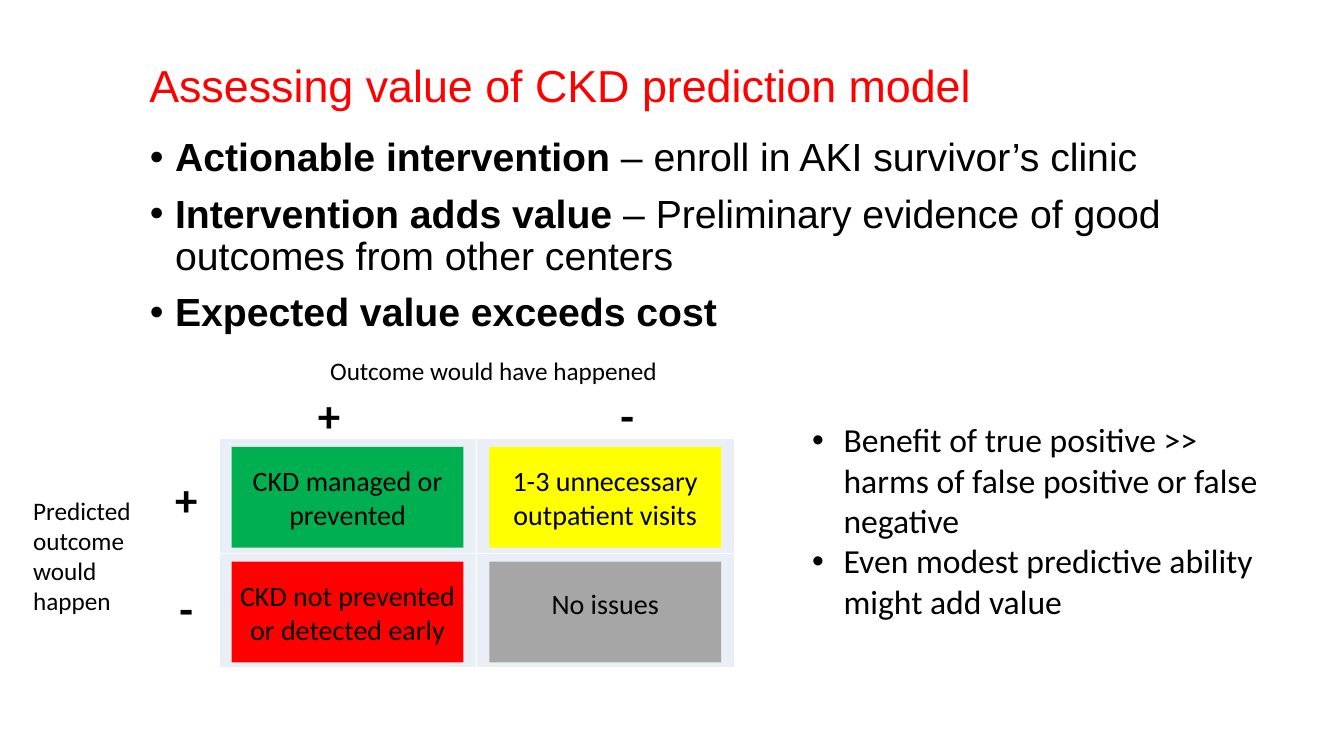
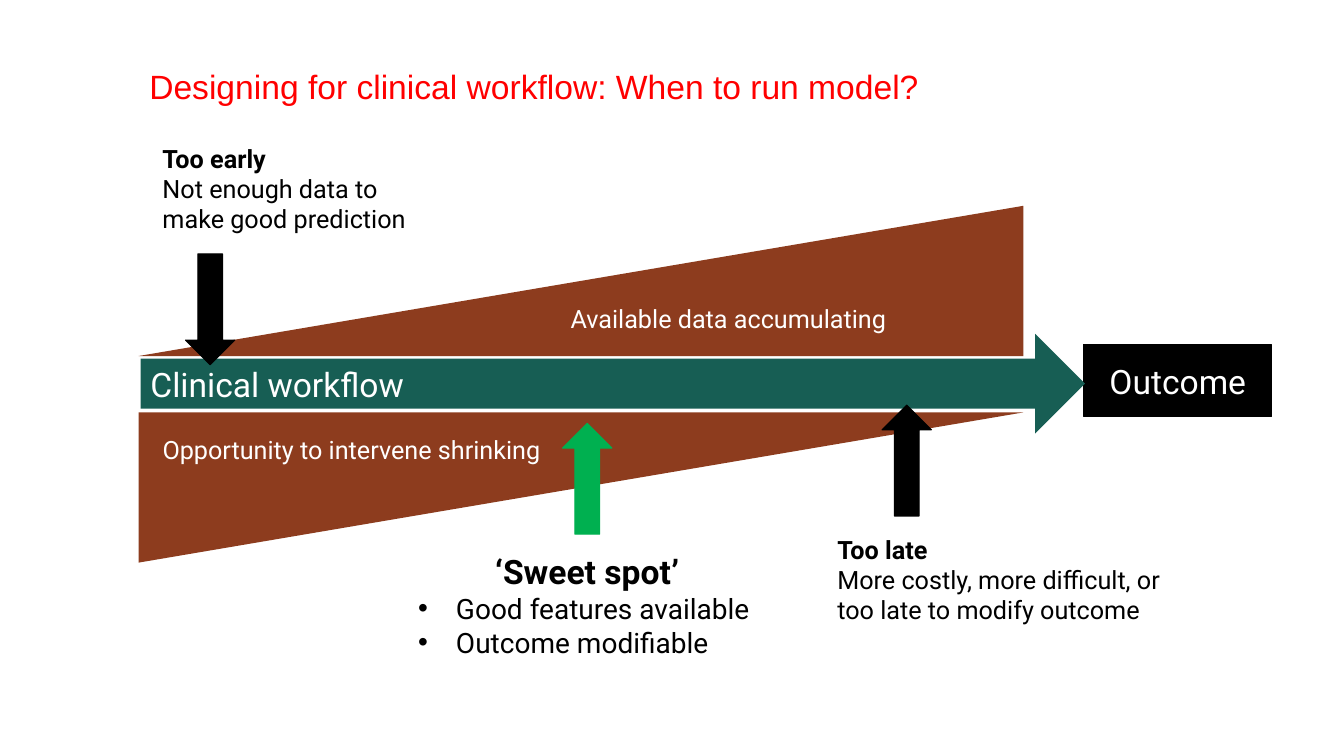
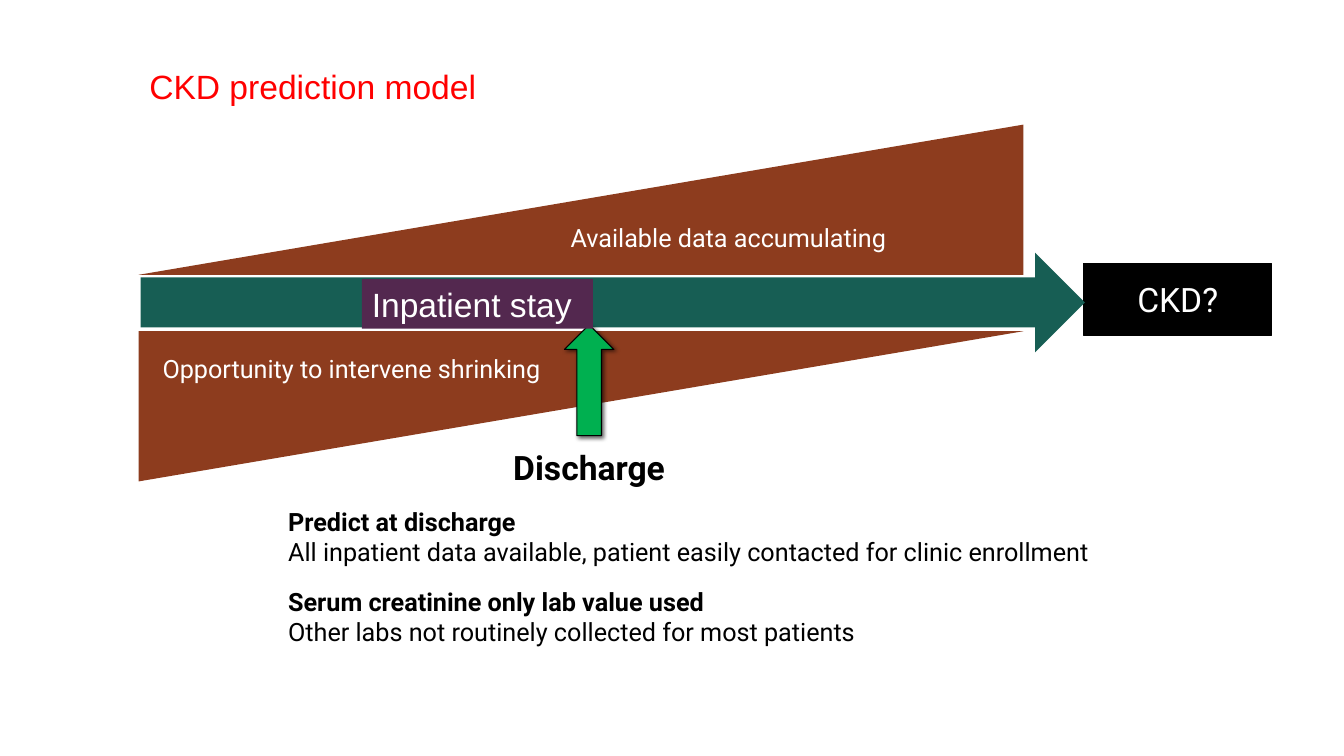
from dataclasses import dataclass

from lxml import etree
from pptx import Presentation
from pptx.dml.color import RGBColor
from pptx.enum import shapes, text
from pptx.oxml import ns
from pptx.util import Pt

SHAPE = shapes.MSO_SHAPE
LEFT, CENTER = text.PP_ALIGN.LEFT, text.PP_ALIGN.CENTER
TOP, MIDDLE = text.MSO_ANCHOR.TOP, text.MSO_ANCHOR.MIDDLE


@dataclass(frozen=True)
class Theme:
    title: str = "FF0000"
    black: str = "000000"
    white: str = "FFFFFF"
    green: str = "00B050"
    yellow: str = "FFFF00"
    red: str = "FF0000"
    grey: str = "A6A6A6"
    table: str = "EAEFF7"
    flow: str = "175E54"
    wedge: str = "8D3C1E"
    stay: str = "53284F"
    heading_font: str = "Arial"
    matrix_font: str = "Calibri"
    flow_font: str = "Roboto"
    huge: int = 32
    big: int = 28
    large: int = 24
    medium: int = 20
    small: int = 18


T = Theme()


@dataclass(frozen=True)
class Para:
    """A paragraph of (text, bold) runs; indent > 0 makes it a bullet."""
    runs: tuple
    size: int = T.small
    align: int = LEFT
    indent: float = 0
    before: float = 0
    spacing: float = 1.0


def plain(words, size=T.small, **options):
    return Para(((words, False),), size, **options)


def bold(words, size=T.small, **options):
    return Para(((words, True),), size, **options)


# Content
VALUE_TITLE = "Assessing value of CKD prediction model"
VALUE_POINTS = [
    (("Actionable intervention", True), (" – enroll in AKI survivor’s clinic", False)),
    (("Intervention adds value", True),
     (" – Preliminary evidence of good outcomes from other centers", False)),
    (("Expected value exceeds cost", True),),
]
ACTUAL_AXIS = "Outcome would have happened"
PREDICTED_AXIS = "Predicted outcome would happen"
# sign, centre x, centre y
SIGNS = [("+", 235, 296), ("-", 448, 296), ("+", 133, 356), ("-", 133, 434)]
# label, fill, upward shift of the text
OUTCOMES = [
    [("CKD managed or prevented", T.green, 0),
     ("1-3 unnecessary outpatient visits", T.yellow, 0)],
    [("CKD not prevented or detected early", T.red, 0),
     ("No issues", T.grey, 6)],
]
CONCLUSIONS = [
    "Benefit of true positive >> harms of false positive or false negative",
    "Even modest predictive ability might add value",
]

TIMING_TITLE = "Designing for clinical workflow: When to run model?"
TIMING_NOTES = [
    ((109, 98.6, 210, 73),
     [bold("Too early"), plain("Not enough data to make good prediction")]),
    ((591, 378, 270, 73),
     [bold("Too late"),
      plain("More costly, more difficult, or too late to modify outcome")]),
    ((291.6, 390.2, 255.6, 85),
     [bold("‘Sweet spot’", T.large, align=CENTER),
      plain("Good features available", T.medium, indent=27),
      plain("Outcome modifiable", T.medium, indent=27)]),
]
# shape, left, top, fill
TIMING_POINTERS = [
    (SHAPE.DOWN_ARROW, 132.5, 181.4, T.black),
    (SHAPE.UP_ARROW, 630, 289.4, T.black),
    (SHAPE.UP_ARROW, 401.8, 302.4, T.green),
]

CKD_TITLE = "CKD prediction model"
CKD_NOTES = [
    ((198.7, 357.8, 649, 112),
     [bold("Predict at discharge"),
      plain("All inpatient data available, patient easily contacted "
            "for clinic enrollment"),
      bold("Serum creatinine only lab value used", before=14),
      plain("Other labs not routinely collected for most patients")]),
    ((293, 315.4, 255.6, 36), [bold("Discharge", T.large, align=CENTER)]),
]


def rgb(color):
    return RGBColor.from_string(color)


def write(frame, paras, font, color, anchor=TOP, inset=7.2):
    frame.word_wrap = True
    frame.vertical_anchor = anchor
    frame.margin_left = frame.margin_right = Pt(inset)
    frame.margin_top = frame.margin_bottom = Pt(3.6)
    for index, para in enumerate(paras):
        line = frame.add_paragraph() if index else frame.paragraphs[0]
        if para.indent:
            props = line._p.get_or_add_pPr()
            props.set("marL", str(Pt(para.indent)))
            props.set("indent", str(-Pt(para.indent)))
            etree.SubElement(props, ns.qn("a:buFont")).set("typeface", "Arial")
            etree.SubElement(props, ns.qn("a:buChar")).set("char", "•")
        line.alignment = para.align
        line.line_spacing = para.spacing
        line.space_before = Pt(para.before)
        for words, is_bold in para.runs:
            run = line.add_run()
            run.text = words
            run.font.name, run.font.size = font, Pt(para.size)
            run.font.bold = is_bold
            run.font.color.rgb = rgb(color)


def add_text(slide, box, paras, font, color=T.black, anchor=TOP):
    label = slide.shapes.add_textbox(*map(Pt, box))
    write(label.text_frame, paras, font, color, anchor)


def add_block(slide, kind, box, fill, line=None):
    block = slide.shapes.add_shape(kind, *map(Pt, box))
    block.shadow.inherit = False
    block.fill.solid()
    block.fill.fore_color.rgb = rgb(fill)
    if line:
        block.line.color.rgb = rgb(line)
        block.line.width = Pt(0.75)
    else:
        block.line.fill.background()
    return block


def add_pointer(slide, kind, left, top, fill, line):
    return add_block(slide, kind, (left, top, 35.3, 79.2), fill, line)


def cast_shadow(block):
    effects = block._element.spPr.find(ns.qn("a:effectLst"))
    shadow = etree.SubElement(effects, ns.qn("a:outerShdw"), blurRad=str(Pt(3)),
                              dist=str(Pt(2)), dir=str(45 * 60000))
    tint = etree.SubElement(shadow, ns.qn("a:srgbClr"), val=T.black)
    etree.SubElement(tint, ns.qn("a:alpha"), val="60000")


def new_slide(deck, title, size):
    slide = deck.slides.add_slide(deck.slide_layouts[5])
    heading = slide.shapes.title
    heading.left, heading.top, heading.width, heading.height = map(
        Pt, (99.4, 37.4, 809.3, 51.1))
    write(heading.text_frame, [plain(title, size, spacing=0.9)],
          T.heading_font, T.title, MIDDLE)
    return slide


def add_workflow(slide, top, outcome, workflow=None):
    """Draw the workflow arrow between its growing and shrinking wedges."""
    goal = add_block(slide, SHAPE.RECTANGLE, (774, top + 99.4, 134.6, 51),
                     T.black, T.black)
    write(goal.text_frame, [plain(outcome, T.large, align=CENTER)],
          T.flow_font, T.white, MIDDLE)

    arrow = add_block(slide, SHAPE.RIGHT_ARROW, (100.4, top + 91.4, 674.6, 71.3), T.flow)
    if workflow:
        write(arrow.text_frame, [plain(workflow, T.large)],
              T.flow_font, T.white, MIDDLE)

    wedges = [(147.6, "flipV"), (0, "flipH")]
    for drop, flip in wedges:
        wedge = add_block(slide, SHAPE.RIGHT_TRIANGLE, (99, top + drop, 632, 107.3),
                          T.wedge)
        wedge._element.spPr.find(ns.qn("a:xfrm")).set(flip, "1")
    write(wedge.text_frame, [plain("Available data accumulating", align=CENTER)],
          T.flow_font, T.white, MIDDLE)
    add_text(slide, (109, top + 159.8, 286, 29),
             [plain("Opportunity to intervene shrinking")], T.flow_font, T.white)


def add_matrix(slide):
    left, top, column, row = 156.5, 313.2, 184, 82
    table = slide.shapes.add_table(
        2, 2, Pt(left), Pt(top), Pt(2 * column), Pt(2 * row)).table
    for r, outcomes in enumerate(OUTCOMES):
        table.rows[r].height = Pt(row)
        table.columns[r].width = Pt(column)
        for c, (label, fill, lift) in enumerate(outcomes):
            cell = table.cell(r, c)
            cell.fill.solid()
            cell.fill.fore_color.rgb = rgb(T.table)
            tile = add_block(slide, SHAPE.RECTANGLE,
                             (left + 9 + c * column, top + 6 + r * row, 165.6, 72),
                             fill)
            write(tile.text_frame, [plain(label, T.medium, align=CENTER)],
                  T.matrix_font, T.black, MIDDLE, inset=3)
            tile.text_frame.margin_bottom = Pt(3.6 + 2 * lift)

    add_text(slide, (16.6, 350, 103, 94), [plain(PREDICTED_AXIS)], T.matrix_font)
    add_text(slide, (213, 250, 279, 29), [plain(ACTUAL_AXIS, align=CENTER)],
             T.matrix_font)
    for sign, x, y in SIGNS:
        add_text(slide, (x - 23, y - 23, 46, 46), [bold(sign, T.huge, align=CENTER)],
                 T.matrix_font, anchor=MIDDLE)


def value_slide(deck):
    slide = new_slide(deck, VALUE_TITLE, T.huge)
    points = [Para(runs, T.big, indent=18, before=10 if index else 0, spacing=0.9)
              for index, runs in enumerate(VALUE_POINTS)]
    add_text(slide, (100, 95, 808.6, 164), points, T.heading_font)
    add_matrix(slide)
    add_text(slide, (573, 296, 336, 153),
             [plain(point, T.large, indent=22.5) for point in CONCLUSIONS],
             T.matrix_font)


def timing_slide(deck):
    slide = new_slide(deck, TIMING_TITLE, T.large)
    add_workflow(slide, 147, "Outcome", "Clinical workflow")
    for kind, left, top, fill in TIMING_POINTERS:
        add_pointer(slide, kind, left, top, fill, fill)
    for box, paras in TIMING_NOTES:
        add_text(slide, box, paras, T.flow_font)


def ckd_slide(deck):
    slide = new_slide(deck, CKD_TITLE, T.large)
    add_workflow(slide, 89, "CKD?")
    cast_shadow(add_pointer(slide, SHAPE.UP_ARROW, 403.2, 232, T.green, T.black))
    for box, paras in CKD_NOTES:
        add_text(slide, box, paras, T.flow_font)
    stay = add_block(slide, SHAPE.RECTANGLE, (258.5, 199.4, 165, 35.3), T.stay)
    write(stay.text_frame, [plain("Inpatient stay", T.large)],
          T.heading_font, T.white, MIDDLE)


def main():
    deck = Presentation()
    deck.slide_width, deck.slide_height = Pt(960), Pt(540)
    value_slide(deck)
    timing_slide(deck)
    ckd_slide(deck)
    deck.save("out.pptx")


if __name__ == "__main__":
    main()
